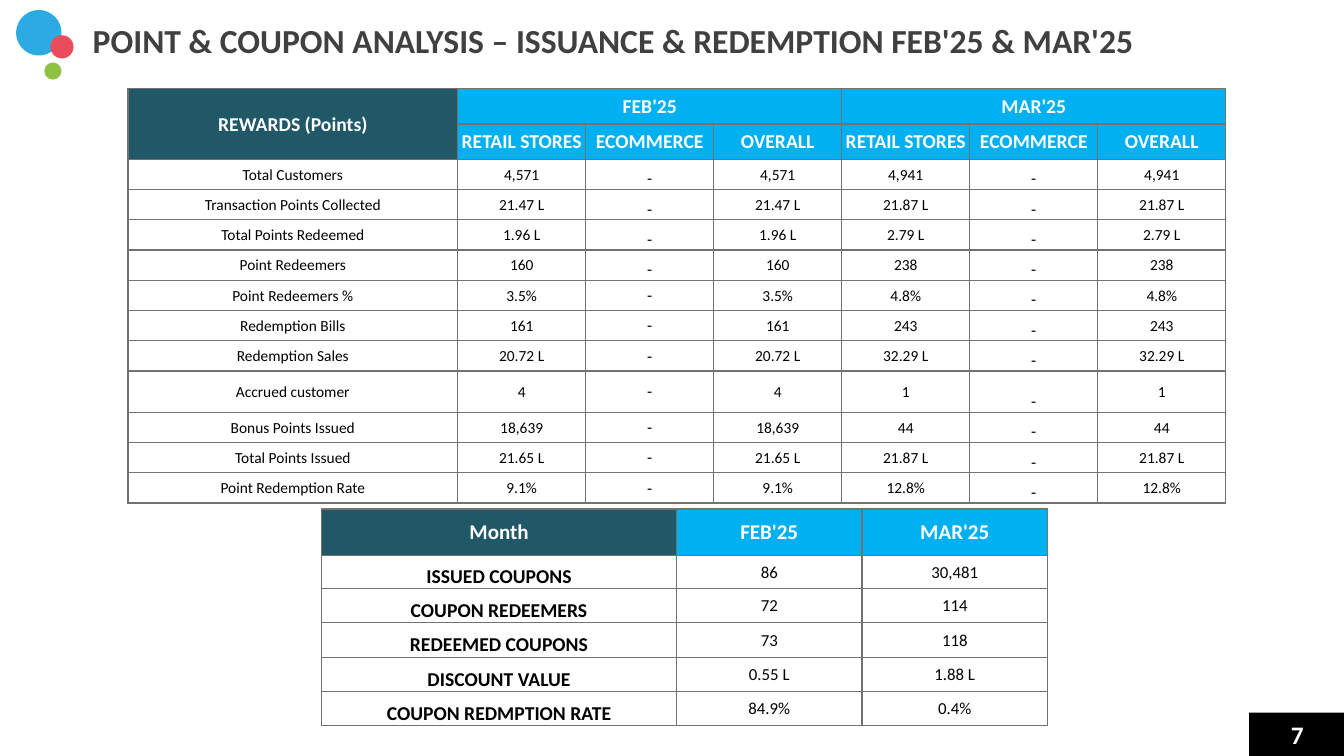
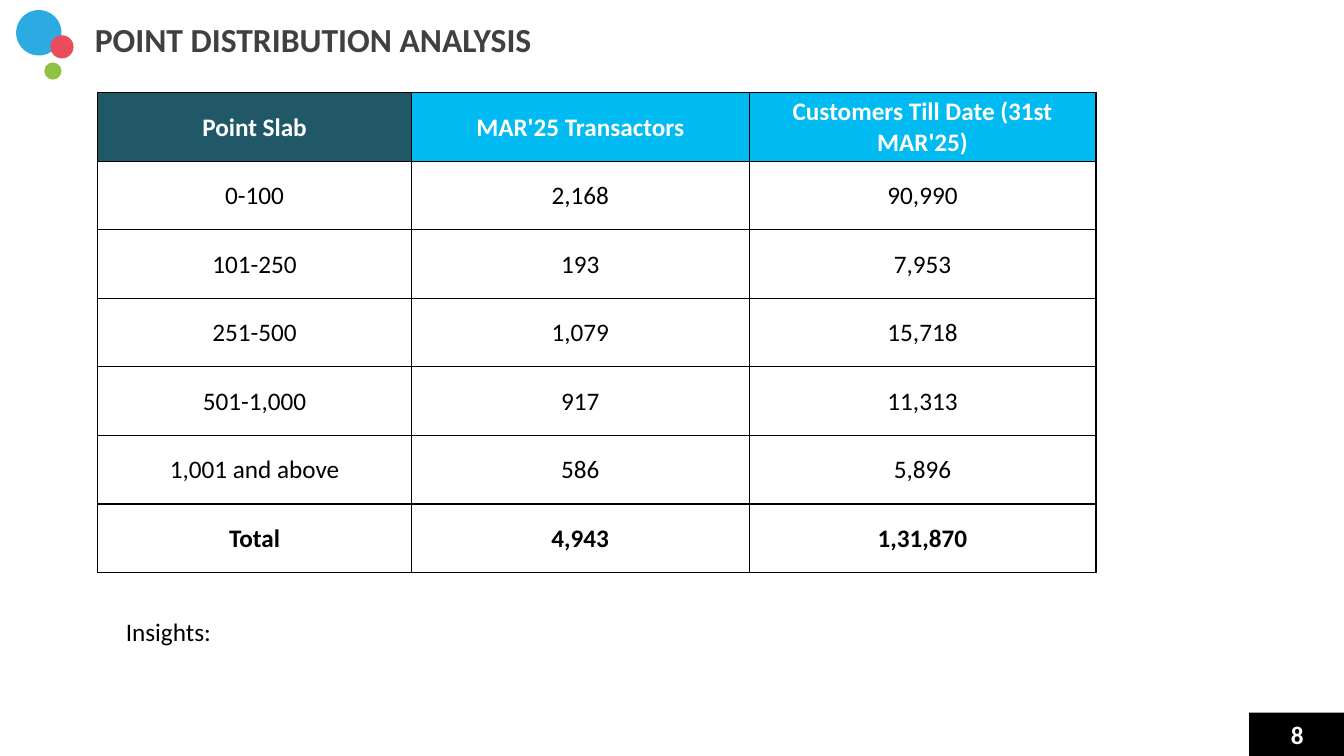
from dataclasses import dataclass

from lxml import etree
from pptx import Presentation
from pptx.dml.color import RGBColor
from pptx.enum.shapes import MSO_SHAPE as Preset
from pptx.enum.text import MSO_ANCHOR as Anchor, MSO_AUTO_SIZE as AutoSize, PP_ALIGN as Align
from pptx.oxml.ns import qn
from pptx.util import Inches, Pt

FONT = "Calibri"
BLACK = RGBColor(0x00, 0x00, 0x00)
WHITE = RGBColor(0xFF, 0xFF, 0xFF)
CHARCOAL = RGBColor(0x40, 0x40, 0x40)
GREY = RGBColor(0x76, 0x71, 0x71)
TEAL = RGBColor(0x20, 0x58, 0x68)
CYAN = RGBColor(0x00, 0xB0, 0xF0)
BRIGHT_CYAN = RGBColor(0x00, 0xBA, 0xF2)
BLUE = RGBColor(0x2C, 0xAA, 0xE2)
RED = RGBColor(0xE9, 0x4D, 0x5B)
GREEN = RGBColor(0x8F, 0xC1, 0x43)

DOTS = [(0.16, 0.1, 0.45, BLUE), (0.5, 0.35, 0.23, RED), (0.44, 0.62, 0.17, GREEN)]

PERIODS = ["FEB'25", "MAR'25"]
CHANNELS = ["RETAIL STORES", "ECOMMERCE", "OVERALL"]
REWARDS = [
    ("Total Customers", "4,571", "4,941"),
    ("Transaction Points Collected", "21.47 L", "21.87 L"),
    ("Total Points Redeemed", "1.96 L", "2.79 L"),
    ("Point Redeemers", "160", "238"),
    ("Point Redeemers %", "3.5%", "4.8%"),
    ("Redemption Bills", "161", "243"),
    ("Redemption Sales", "20.72 L", "32.29 L"),
    ("Accrued customer", "4", "1"),
    ("Bonus Points Issued", "18,639", "44"),
    ("Total Points Issued", "21.65 L", "21.87 L"),
    ("Point Redemption Rate", "9.1%", "12.8%"),
]
COUPONS = [
    ["Month", *PERIODS],
    ["ISSUED COUPONS", "86", "30,481"],
    ["COUPON REDEEMERS", "72", "114"],
    ["REDEEMED COUPONS", "73", "118"],
    ["DISCOUNT VALUE", "0.55 L", "1.88 L"],
    ["COUPON REDMPTION RATE", "84.9%", "0.4%"],
]
SLABS = [
    ["Point Slab", "MAR'25 Transactors", "Customers Till Date (31st MAR'25)"],
    ["0-100", "2,168", "90,990"],
    ["101-250", "193", "7,953"],
    ["251-500", "1,079", "15,718"],
    ["501-1,000", "917", "11,313"],
    ["1,001 and above", "586", "5,896"],
    ["Total", "4,943", "1,31,870"],
]


@dataclass
class CellStyle:
    size: int
    bold: bool = False
    color: RGBColor = BLACK
    fill: RGBColor | None = None
    anchor: Anchor = Anchor.MIDDLE


def header_style(size, column, accent):
    return CellStyle(size, True, WHITE, accent if column else TEAL)


def rewards_style(row, column):
    if row < 2:
        return header_style(14, column, CYAN)
    if column == 5 or (column == 2 and row < 6):
        return CellStyle(12, anchor=Anchor.BOTTOM)
    return CellStyle(12 if column == 2 else 11)


def coupon_style(row, column):
    if row == 0:
        return header_style(15, column, CYAN)
    if column == 0:
        return CellStyle(14, True, anchor=Anchor.BOTTOM)
    return CellStyle(12)


def slab_style(row, column):
    if row == 0:
        return header_style(18, column, BRIGHT_CYAN)
    return CellStyle(18, bold=row == len(SLABS) - 1)


def write(frame, text, size, color, bold=False, align=Align.LEFT):
    para = frame.paragraphs[0]
    para.text = text
    para.alignment = align
    para.font.name = FONT
    para.font.size = Pt(size)
    para.font.bold = bold
    para.font.color.rgb = color
    return para


def add_block(page, preset, left, top, width, height, fill):
    block = page.shapes.add_shape(preset, Inches(left), Inches(top), Inches(width), Inches(height))
    block.shadow.inherit = False
    block.fill.solid()
    block.fill.fore_color.rgb = fill
    block.line.fill.background()
    return block


def add_text(page, text, left, top, width, height, size, color, bold=False):
    box = page.shapes.add_textbox(Inches(left), Inches(top), Inches(width), Inches(height))
    frame = box.text_frame
    frame.word_wrap = True
    frame.auto_size = AutoSize.SHAPE_TO_FIT_TEXT
    write(frame, text, size, color, bold)
    return frame


def add_title(page, text, left, top, width):
    frame = add_text(page, text, left, top, width, 0.42, 24, CHARCOAL, True)
    frame.vertical_anchor = Anchor.MIDDLE
    frame.margin_left = frame.margin_right = frame.margin_bottom = 0
    frame.margin_top = Inches(0.01)
    frame.paragraphs[0].space_before = Pt(1)


def add_page(deck, number):
    page = deck.slides.add_slide(deck.slide_layouts[6])
    for left, top, size, color in DOTS:
        add_block(page, Preset.OVAL, left, top, size, size, color)
    badge = add_block(page, Preset.RECTANGLE, 12.39, 7.07, 0.95, 0.43, BLACK)
    badge.text_frame.vertical_anchor = Anchor.MIDDLE
    write(badge.text_frame, str(number), 18, WHITE, True, Align.CENTER)
    return page


def set_borders(cell, color):
    properties = cell._tc.get_or_add_tcPr()
    for side in ("a:lnL", "a:lnR", "a:lnT", "a:lnB"):
        line = etree.SubElement(properties, qn(side), w=str(Pt(1)))
        fill = etree.SubElement(line, qn("a:solidFill"))
        etree.SubElement(fill, qn("a:srgbClr"), val=str(color))


def fill_cell(cell, text, style, border):
    cell.margin_left = cell.margin_right = cell.margin_top = Inches(0.01)
    cell.margin_bottom = 0
    cell.vertical_anchor = style.anchor
    set_borders(cell, border)
    if style.fill is None:
        cell.fill.background()
    else:
        cell.fill.solid()
        cell.fill.fore_color.rgb = style.fill
    write(cell.text_frame, text, style.size, style.color, style.bold, Align.CENTER)


def add_grid(page, left, top, widths, heights, rows, style_of, border):
    table = page.shapes.add_table(
        len(heights), len(widths), Inches(left), Inches(top),
        Inches(sum(widths)), Inches(sum(heights))).table
    table.first_row = False
    table.horz_banding = False
    for column, width in zip(table.columns, widths):
        column.width = Inches(width)
    for row, height in zip(table.rows, heights):
        row.height = Inches(height)
    for r, texts in enumerate(rows):
        for c, text in enumerate(texts):
            fill_cell(table.cell(r, c), text, style_of(r, c), border)
    return table


def add_rewards(page):
    rows = [["REWARDS (Points)"], ["", *CHANNELS * len(PERIODS)]]
    for period in PERIODS:
        rows[0] += [period, "", ""]
    rows += [[label, feb, "-", feb, mar, "-", mar] for label, feb, mar in REWARDS]
    heights = [0.35] * 2 + [0.41 if row[0] == "Accrued customer" else 0.3 for row in REWARDS]
    table = add_grid(page, 1.27, 0.88, [3.27] + [1.27] * 6, heights, rows, rewards_style, GREY)
    table.cell(0, 0).merge(table.cell(1, 0))
    for first in (1, 4):
        table.cell(0, first).merge(table.cell(0, first + 2))


def main():
    deck = Presentation()
    deck.slide_width = Inches(13.33)
    deck.slide_height = Inches(7.5)

    page = add_page(deck, 7)
    add_title(page, "POINT & COUPON ANALYSIS – ISSUANCE & REDEMPTION FEB'25 & MAR'25", 0.92, 0.18, 11.8)
    add_grid(page, 3.19, 5.05, [3.52, 1.84, 1.84], [0.46, 0.33] + [0.34] * 4,
             COUPONS, coupon_style, GREY)
    add_rewards(page)

    page = add_page(deck, 8)
    add_title(page, "POINT DISTRIBUTION ANALYSIS", 0.94, 0.17, 10.7)
    add_grid(page, 0.97, 0.92, [3.11, 3.35, 3.44], [0.68] * len(SLABS), SLABS, slab_style, BLACK)
    add_text(page, "Insights:", 1.15, 6.07, 10.84, 0.4, 18, BLACK)

    deck.save("out.pptx")


if __name__ == "__main__":
    main()
